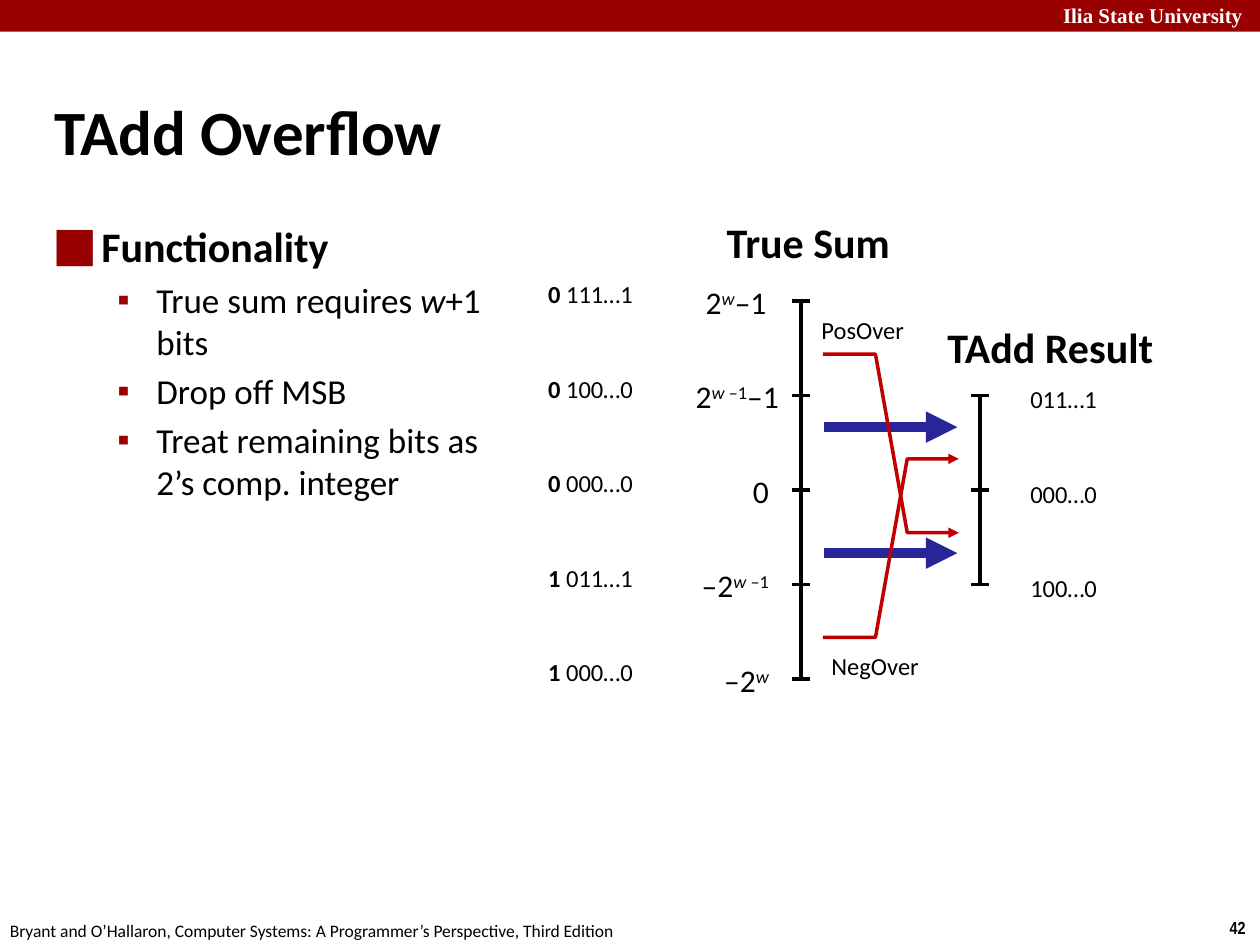
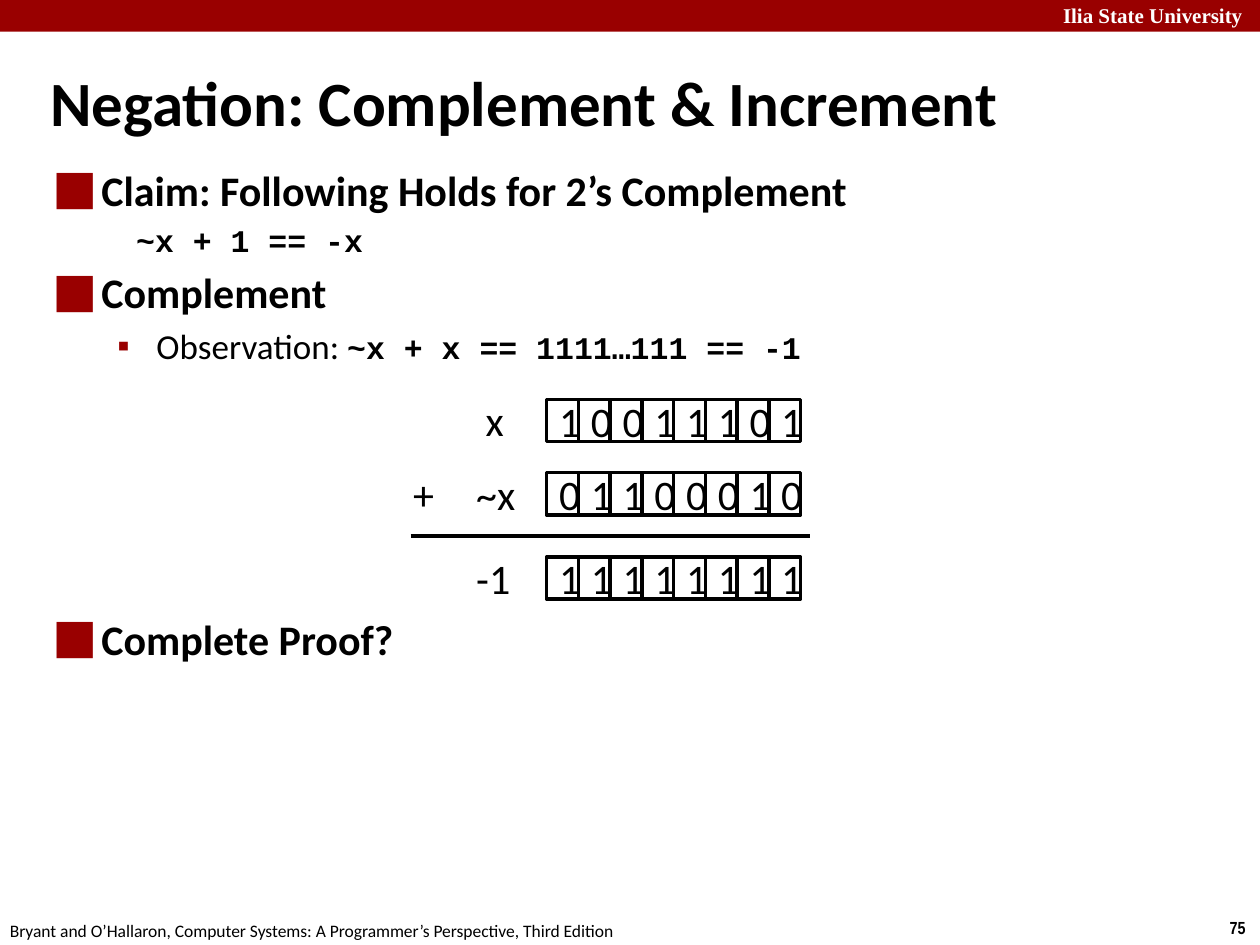
"""Build two slides on two's complement addition and negation."""
from lxml.etree import SubElement
from pptx import Presentation
from pptx.dml.color import RGBColor
from pptx.enum.shapes import MSO_CONNECTOR, MSO_SHAPE
from pptx.enum.text import MSO_ANCHOR, MSO_AUTO_SIZE, PP_ALIGN
from pptx.oxml.ns import qn
from pptx.util import Cm, Pt

LEFT, RIGHT, CENTER = PP_ALIGN.LEFT, PP_ALIGN.RIGHT, PP_ALIGN.CENTER
MIDDLE, TOP = MSO_ANCHOR.MIDDLE, MSO_ANCHOR.TOP
RECT, LINE = MSO_SHAPE.RECTANGLE, MSO_CONNECTOR.STRAIGHT
FIXED = MSO_AUTO_SIZE.NONE

BLACK, WHITE, BRAND, RED, BLUE = "000000", "FFFFFF", "990000", "C00000", "262699"
SANS, MONO = "Calibri", "Courier New"
WIDE, HIGH = 25.4, 19.05
STEP = 7.62 / 4
MARKS = {
    "b": {"bold": True},
    "i": {"italic": True},
    "c": {"name": MONO, "size": Pt(18), "bold": True},
}
LEVELS = {
    "head": {"depth": 0, "mark": "⬛", "left": 0.95, "hang": 0.95, "size": 24, "bold": True},
    "sub": {"depth": 1, "mark": "▪", "left": 2.06, "hang": 0.79, "size": 20, "bold": False},
    "code": {"depth": 1, "mark": None, "left": 1.65, "hang": 0, "size": 18, "bold": True},
}


def paint(color, value):
    """Give a colour format a hex colour."""
    color.rgb = RGBColor.from_string(value)


def write(par, runs, size, color=BLACK, **base):
    """Add runs, each a (text, marks) pair; mark u raises the text."""
    for text, marks in runs:
        run = par.add_run()
        run.text = text
        form = {"name": SANS, "size": Pt(size), **base}
        for mark in marks:
            form.update(MARKS.get(mark, {}))
        for key, value in form.items():
            setattr(run.font, key, value)
        paint(run.font.color, color)
        if "u" in marks:
            run._r.get_or_add_rPr().set("baseline", "30000")


def label(slide, x, y, wide, high, runs, size, align=LEFT, **form):
    """Add a text box with one line."""
    if isinstance(runs, str):
        runs = [(runs, "")]
    frame = slide.shapes.add_textbox(Cm(x), Cm(y), Cm(wide), Cm(high)).text_frame
    frame.word_wrap = True
    frame.paragraphs[0].alignment = align
    write(frame.paragraphs[0], runs, size, **form)


def box(slide, x, y, wide, high, fill):
    """Add a plain filled rectangle without outline."""
    shape = slide.shapes.add_shape(RECT, Cm(x), Cm(y), Cm(wide), Cm(high))
    shape.shadow.inherit = False
    shape.fill.solid()
    paint(shape.fill.fore_color, fill)
    shape.line.fill.background()
    return shape


def stroke(shape, color, width, arrow=False):
    """Set the line of a shape, with an arrowhead if wanted."""
    shape.line.fill.solid()
    paint(shape.line.color, color)
    shape.line.width = Pt(width)
    if arrow:
        SubElement(shape.line._get_or_add_ln(), qn("a:tailEnd"), type="triangle")


def rule(slide, x1, y1, x2, y2, color=BLACK, width=2, arrow=False):
    """Draw a straight line."""
    line = slide.shapes.add_connector(LINE, Cm(x1), Cm(y1), Cm(x2), Cm(y2))
    stroke(line, color, width, arrow)
    SubElement(line._element.spPr, qn("a:effectLst"))


def bend(slide, start, end):
    """Draw a red arrow that crosses from one height to another."""
    points = [(Cm(x), Cm(y)) for x, y in
              ((16.59, start), (17.65, start), (18.29, end), (19.33, end))]
    path = slide.shapes.build_freeform(*points[0], scale=1.0)
    path.add_line_segments(points[1:], close=False)
    shape = path.convert_to_shape()
    shape.shadow.inherit = False
    shape.fill.background()
    stroke(shape, RED, 2, True)


def axis(slide, x, top, count):
    """Draw an upright scale with evenly spaced ticks."""
    rule(slide, x, top, x, top + (count - 1) * STEP)
    for tick in range(count):
        y = top + tick * STEP
        rule(slide, x - 0.18, y, x + 0.18, y)


def cells(slide, y, bits):
    """Draw a row of boxed bits."""
    for col, bit in enumerate(bits):
        cell = box(slide, 11.02 + col * 0.64, y, 0.64, 0.85, WHITE)
        stroke(cell, BLACK, 2)
        frame = cell.text_frame
        frame.word_wrap = True
        frame.vertical_anchor = MIDDLE
        frame.paragraphs[0].alignment = CENTER
        write(frame.paragraphs[0], [(bit, "")], 24)


def place(holder, x, y, wide, high, anchor):
    """Move a placeholder and return its text frame."""
    spot = {"left": x, "top": y, "width": wide, "height": high}
    for key, value in spot.items():
        setattr(holder, key, Cm(value))
    frame = holder.text_frame
    frame.auto_size = FIXED
    frame.word_wrap = True
    frame.vertical_anchor = anchor
    return frame


def item(par, kind, runs, gap):
    """Format one list paragraph."""
    level = LEVELS[kind]
    par.level = level["depth"]
    par.alignment = LEFT
    par.space_before = Pt(gap)
    props = par._p.get_or_add_pPr()
    props.set("marL", str(Cm(level["left"])))
    props.set("indent", str(-Cm(level["hang"])))
    if level["mark"]:
        tint = SubElement(props, qn("a:buClr"))
        SubElement(tint, qn("a:srgbClr"), val=BRAND)
        SubElement(props, qn("a:buChar"), char=level["mark"])
    else:
        SubElement(props, qn("a:buNone"))
    write(par, runs, level["size"], bold=level["bold"])


def page(deck, number, title, spot, items, area):
    """Add a slide with band, footer, title and list."""
    slide = deck.slides.add_slide(deck.slide_layouts[1])
    box(slide, 0, 0, WIDE, 0.64, BRAND)
    label(slide, 21.18, -0.08, 4.22, 0.76, "Ilia State University", 12,
          color=WHITE, name="Times New Roman", bold=True)
    label(slide, 24.54, 18.36, 0.86, 0.69, number, 10, name="Arial Narrow", bold=True)
    label(slide, -0.05, 18.42, 13.5, 0.63, "Bryant and O’Hallaron, Computer Systems: "
          "A Programmer’s Perspective, Third Edition", 10)
    par = place(slide.shapes.title, *spot, MIDDLE).paragraphs[0]
    par.alignment = LEFT
    write(par, [(title, "")], 36, bold=True)
    frame = place(slide.placeholders[1], *area, TOP)
    for index, entry in enumerate(items):
        par = frame.add_paragraph() if index else frame.paragraphs[0]
        item(par, *entry)
    return slide


def adding(deck):
    """Build the slide on overflow in addition."""
    items = [
        ("head", [("Functionality", "")], 0),
        ("sub", [("True sum requires ", ""), ("w", "i"), ("+1 bits", "")], 4),
        ("sub", [("Drop off MSB", "")], 4),
        ("sub", [("Treat remaining bits as 2’s comp. integer", "")], 4),
    ]
    slide = page(deck, "42", "TAdd Overflow", (0.84, 1.85, 18.77, 1.55),
                 items, (0.84, 4.32, 9.19, 14.5))
    power = [("w ", "iu"), ("–1", "u")]
    rows = [
        ("0", "111…1", [("2", ""), ("w", "iu"), ("–1", "")], 15.7),
        ("0", "100…0", [("2", ""), *power, ("–1", "")], 15.95),
        ("0", "000…0", [("0", "")], 15.75),
        ("1", "011…1", [("–2", ""), *power], 15.75),
        ("1", "000…0", [("–2", ""), ("w", "iu")], 15.75),
    ]
    for row, (sign, bits, value, edge) in enumerate(rows):
        y = 5.51 + row * STEP
        label(slide, 10.8, y, 2.4, 0.84, [(sign, "b"), (" " + bits, "")], 14)
        label(slide, edge - 2.8, y + 0.07, 2.8, 1.02, value, 18, RIGHT)
    for row, bits in enumerate(("011…1", "000…0", "100…0")):
        label(slide, 20.52, 7.62 + row * STEP, 2.1, 0.84, bits, 14)
    axis(slide, 16.15, 6.07, 5)
    axis(slide, 19.76, 6.07 + STEP, 3)
    for y in (8.61, 11.15):
        rule(slide, 16.61, y, 19.3, y, BLUE, 6, True)
    bend(slide, 7.14, 10.74)
    bend(slide, 12.85, 9.25)
    label(slide, 14.4, 4.24, 4.2, 1.27, "True Sum", 24, bold=True)
    label(slide, 18.85, 6.35, 5.2, 1.27, "TAdd Result", 24, bold=True)
    label(slide, 16.31, 6.22, 2.6, 0.86, "PosOver", 14)
    label(slide, 16.51, 13, 2.6, 0.86, "NegOver", 14)


def negate(deck):
    """Build the slide on negation by complement and increment."""
    items = [
        ("head", [("Claim: Following Holds for 2’s Complement", "")], 0),
        ("code", [("~x + 1 == -x", "c")], 3.6),
        ("head", [("Complement", "")], 4.8),
        ("sub", [("Observation: ", ""), ("~x + x == 1111…111 == -1", "c")], 4),
        ("head", [("Complete Proof?", "")], 141),
    ]
    slide = page(deck, "75", "Negation: Complement & Increment", (0.76, 1.27, 24.64, 1.55),
                 items, (0.84, 3.18, 21.82, 14.5))
    rows = [
        ("x", 9.54, 8.05, "10011101"),
        ("~x", 9.35, 9.53, "01100010"),
        ("-1", 9.35, 11.23, "11111111"),
    ]
    for name, x, y, bits in rows:
        cells(slide, y, bits)
        label(slide, x, y - 0.22, 1.5, 1.3, name, 24)
    label(slide, 8.08, 9.31, 1.1, 1.3, "+", 24)
    rule(slide, 8.28, 10.8, 16.33, 10.8)


def main():
    """Build and save the deck."""
    deck = Presentation()
    deck.slide_width, deck.slide_height = Cm(WIDE), Cm(HIGH)
    adding(deck)
    negate(deck)
    deck.save("out.pptx")


if __name__ == "__main__":
    main()
